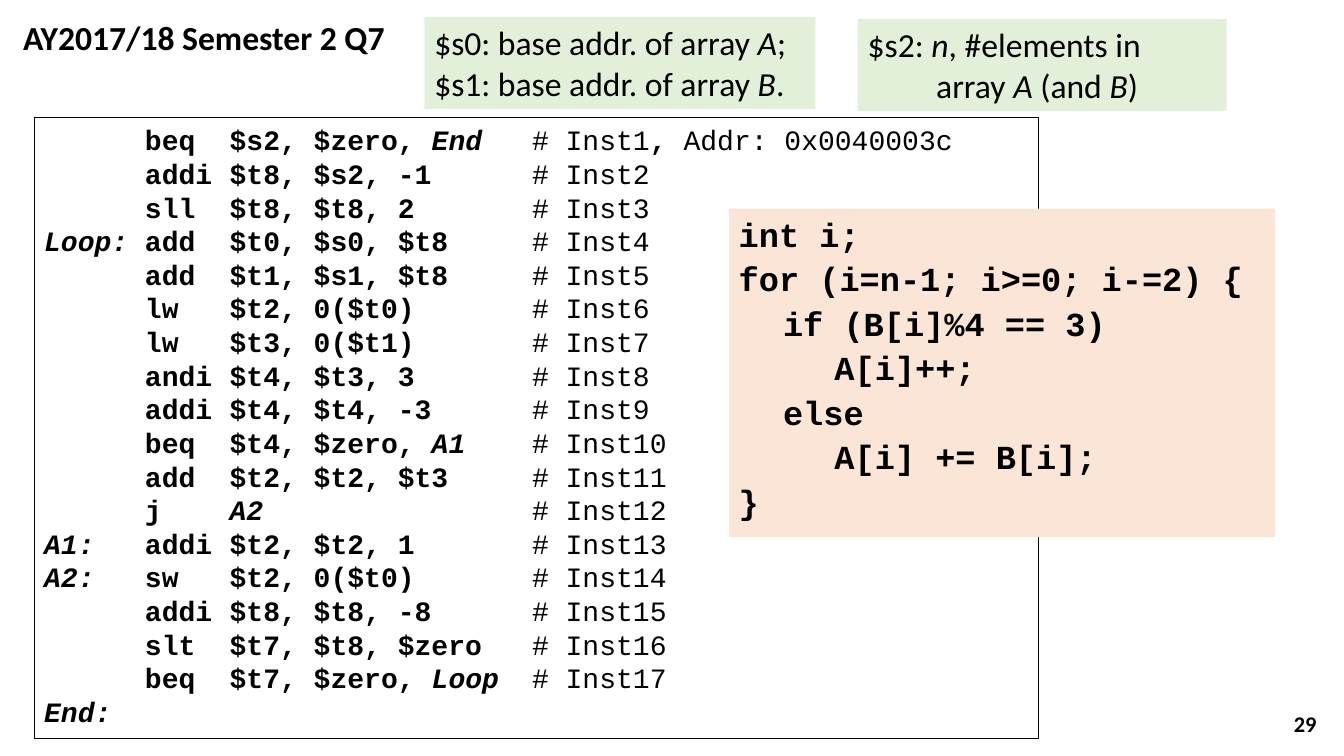
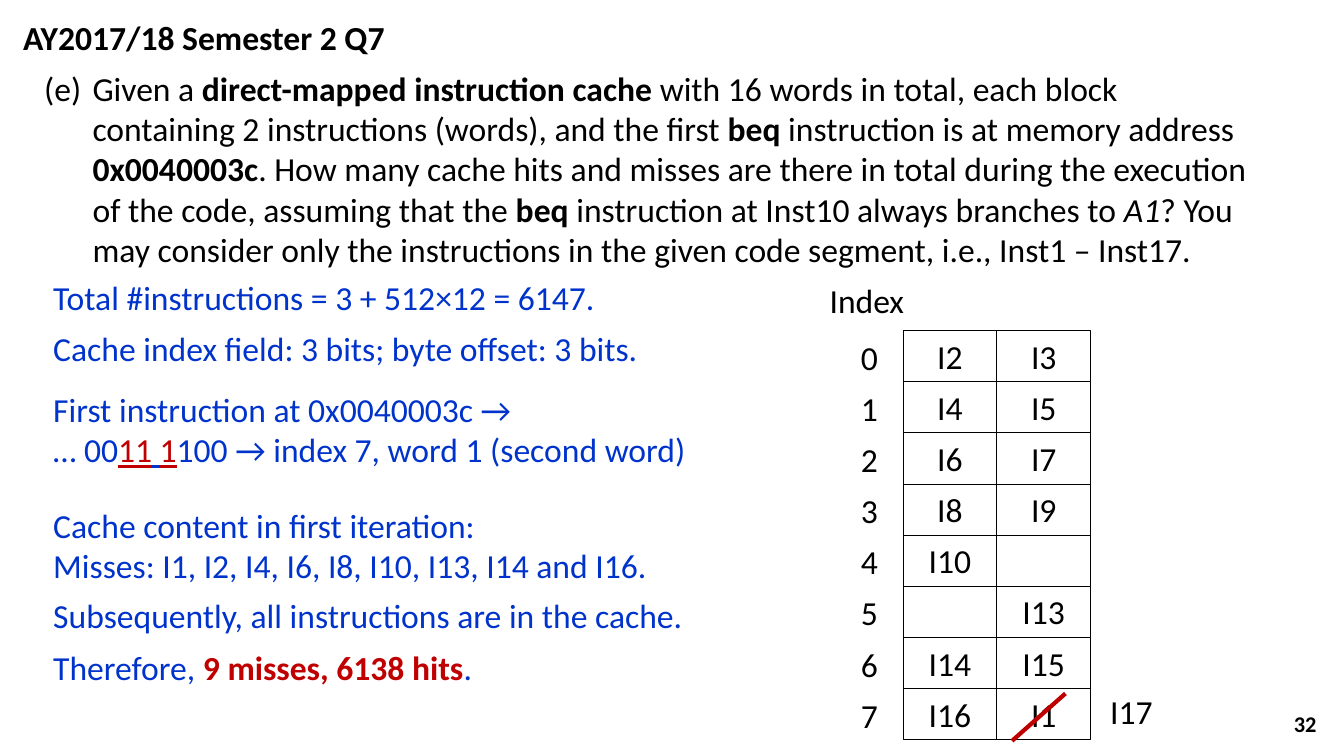
from lxml import etree
from pptx import Presentation
from pptx.dml.color import RGBColor
from pptx.enum import text as t
from pptx.enum import shapes as s
from pptx.oxml.ns import qn
from pptx.util import Inches, Pt

BLACK = RGBColor(0x00, 0x00, 0x00)
BLUE = RGBColor(0x00, 0x33, 0xCC)
RED = RGBColor(0xC0, 0x00, 0x00)
GREEN_PANEL = RGBColor(0xE2, 0xF0, 0xD9)
PEACH_PANEL = RGBColor(0xFB, 0xE5, 0xD6)

BODY_FONT = "Calibri"
CODE_FONT = "Courier New"
TITLE = "AY2017/18 Semester 2 Q7"

# Label, operation, operands, branch target
INSTRUCTIONS = [
    ("", "beq", "$s2, $zero, ", "End"),
    ("", "addi", "$t8, $s2, -1", ""),
    ("", "sll", "$t8, $t8, 2", ""),
    ("Loop:", "add", "$t0, $s0, $t8", ""),
    ("", "add", "$t1, $s1, $t8", ""),
    ("", "lw", "$t2, 0($t0)", ""),
    ("", "lw", "$t3, 0($t1)", ""),
    ("", "andi", "$t4, $t3, 3", ""),
    ("", "addi", "$t4, $t4, -3", ""),
    ("", "beq", "$t4, $zero, ", "A1"),
    ("", "add", "$t2, $t2, $t3", ""),
    ("", "j", "", "A2"),
    ("A1:", "addi", "$t2, $t2, 1", ""),
    ("A2:", "sw", "$t2, 0($t0)", ""),
    ("", "addi", "$t8, $t8, -8", ""),
    ("", "slt", "$t7, $t8, $zero", ""),
    ("", "beq", "$t7, $zero, ", "Loop"),
]
LISTING_TABS = (1, 1.84, 4.84)

C_CODE = [
    "int i;",
    "for (i=n-1; i>=0; i-=2) {",
    "\tif (B[i]%4 == 3)",
    "\t\tA[i]++;",
    "\telse",
    "\t\tA[i] += B[i];",
    "}",
]
C_TABS = (0.44, 0.95)

QUESTION = [
    ("(e)\tGiven a ",), ("direct-mapped instruction cache ", "b"),
    ("with 16 words in total, each block containing 2 instructions (words), and the first ",),
    ("beq", "b"), (" instruction is at memory address ",), ("0x0040003c", "b"),
    (". How many cache hits and misses are there in total during the execution "
     "of the code, assuming that the ",),
    ("beq", "b"), (" instruction at Inst10 always branches to ",), ("A1", "i"),
    ("? You may consider only the instructions in the given code segment, "
     "i.e., Inst1 – Inst17.",),
]

# Top, width, paragraphs
ANSWERS = [
    (2.7, 6.24, [[("Total #instructions = 3 + 512×12 = 6147.",)]]),
    (3.2, 6.24, [[("Cache index field: 3 bits; byte offset: 3 bits.",)]]),
    (3.81, 7.2, [
        [("First instruction at 0x0040003c →",)],
        [("… 00",), ("11", "u", RED), (" ", "u"), ("1", "u", RED),
         ("100 → index 7, word 1 (second word)",)],
    ]),
    (4.96, 7.2, [
        [("Cache content in first iteration:",)],
        [("Misses: I1, I2, I4, I6, I8, I10, I13, I14 and I16.",)],
    ]),
    (5.85, 7.2, [[("Subsequently, all instructions are in the cache.",)]]),
    (6.37, 7.2, [[("Therefore, ",), ("9 misses, 6138 hits", "b", RED), (".",)]]),
]

CACHE_BLOCKS = [
    ("I2", "I3"), ("I4", "I5"), ("I6", "I7"), ("I8", "I9"),
    ("I10", ""), ("", "I13"), ("I14", "I15"), ("I16", "I1"),
]
CACHE_LEFT, CACHE_TOP, CACHE_BOTTOM = 8.96, 3.28, 7.34
WORD_WIDTH = 0.93


def add_runs(para, runs, size=24, font=BODY_FONT, color=BLACK):
    """Each run is (text, flags, colour); flags are letters out of b, i and u."""
    for words, *style in runs:
        run = para.add_run()
        run.text = words
        flags = style[0] if style else ""
        run.font.name = font
        run.font.size = Pt(size)
        run.font.bold = "b" in flags
        run.font.italic = "i" in flags
        run.font.underline = "u" in flags
        run.font.color.rgb = style[1] if len(style) > 1 else color


def set_layout(para, tabs=(), hanging=0):
    props = para._p.get_or_add_pPr()
    if hanging:
        props.set("marL", str(Inches(hanging)))
        props.set("indent", str(-Inches(hanging)))
    if tabs:
        stops = etree.SubElement(props, qn("a:tabLst"))
        for stop in tabs:
            etree.SubElement(stops, qn("a:tab"), pos=str(Inches(stop)), algn="l")


def add_text(slide, place, paragraphs, fill=None, outlined=False, align=None,
             after=None, tabs=(), hanging=0, **font):
    """Adds a text box, or a rectangle where it has a fill or an outline."""
    place = map(Inches, place)
    if fill is not None or outlined:
        box = slide.shapes.add_shape(s.MSO_SHAPE.RECTANGLE, *place)
        box.shadow.inherit = False
        box.fill.background()
        box.line.fill.background()
    else:
        box = slide.shapes.add_textbox(*place)
    if fill is not None:
        box.fill.solid()
        box.fill.fore_color.rgb = fill
    if outlined:
        box.line.color.rgb = BLACK
        box.line.width = Pt(0.75)
    frame = box.text_frame
    frame.word_wrap = True
    frame.vertical_anchor = t.MSO_ANCHOR.TOP
    for number, runs in enumerate(paragraphs):
        para = frame.add_paragraph() if number else frame.paragraphs[0]
        para.alignment = align or t.PP_ALIGN.LEFT
        if after is not None:
            para.space_after = Pt(after)
        set_layout(para, tabs, hanging)
        add_runs(para, runs, **font)
    return box


def add_centred(slide, place, words, outlined=False):
    add_text(slide, place, [[(words,)] if words else []], outlined=outlined,
             align=t.PP_ALIGN.CENTER)


def add_question_slide(prs, number):
    """Adds a slide with the shared title and its page number."""
    slide = prs.slides.add_slide(prs.slide_layouts[6])
    page = add_text(slide, (10.16, 6.98, 3, 0.4), [[(str(number), "b")]],
                    align=t.PP_ALIGN.RIGHT, size=16)
    page.text_frame.vertical_anchor = t.MSO_ANCHOR.MIDDLE
    add_text(slide, (0.13, 0.12, 4.08, 0.5), [[(TITLE, "b")]])
    return slide


def listing_lines():
    lines = []
    for number, (label, operation, operands, target) in enumerate(INSTRUCTIONS, 1):
        runs = [(label, "bi"), (f"\t{operation}\t{operands}", "b"),
                (target, "bi"), (f"\t# Inst{number}",)]
        lines.append([run for run in runs if run[0]])
    lines[0] += [(", ", "b"), ("Addr: 0x0040003c",)]
    return lines + [[("End:", "bi")]]


def add_cache(slide):
    add_centred(slide, (8, 2.73, 1.2, 0.5), "Index")
    pitch = (CACHE_BOTTOM - CACHE_TOP) / len(CACHE_BLOCKS)
    for index, block in enumerate(CACHE_BLOCKS):
        top = CACHE_TOP + index * pitch
        add_centred(slide, (8.28, top + 0.01, 0.69, 0.5), str(index))
        for column, word in enumerate(block):
            left = CACHE_LEFT + column * WORD_WIDTH
            add_centred(slide, (left, top, WORD_WIDTH, pitch), word, outlined=True)


def add_strike(slide, start, end):
    strike = slide.shapes.add_connector(
        s.MSO_CONNECTOR.STRAIGHT, *map(Inches, (*start, *end)))
    strike.line.color.rgb = RED
    strike.line.width = Pt(3)
    etree.SubElement(strike._element.spPr, qn("a:effectLst"))


def build_code_slide(prs):
    slide = add_question_slide(prs, 29)
    add_text(slide, (0.34, 1.17, 9.96, 6.16), listing_lines(), outlined=True,
             tabs=LISTING_TABS, size=20, font=CODE_FONT)
    add_text(slide, (7.23, 2.07, 5.42, 3.26), [[(line, "b")] for line in C_CODE],
             fill=PEACH_PANEL, after=3, tabs=C_TABS, font=CODE_FONT)
    bases = [[(f"{register}: base addr. of array ",), (array, "i"), (end,)]
             for register, array, end in (("$s0", "A", ";"), ("$s1", "B", "."))]
    add_text(slide, (4.21, 0.17, 3.88, 0.91), bases, fill=GREEN_PANEL)
    count = [("$s2: ",), ("n", "i"), (", #elements in array ",), ("A", "i"),
             (" (and ",), ("B", "i"), (")",)]
    add_text(slide, (8.51, 0.19, 3.66, 0.91), [count], fill=GREEN_PANEL, hanging=0.68)


def build_cache_slide(prs):
    slide = add_question_slide(prs, 32)
    add_text(slide, (0.34, 0.62, 12.16, 2.12), [QUESTION], after=6, hanging=0.48)
    for top, width, paragraphs in ANSWERS:
        height = 0.5 if len(paragraphs) == 1 else 0.91
        add_text(slide, (0.43, top, width, height), paragraphs, color=BLUE)
    add_cache(slide)
    add_centred(slide, (10.69, 6.81, 1.07, 0.5), "I17")
    add_strike(slide, (10.04, 7.35), (10.57, 6.88))


def main():
    prs = Presentation()
    prs.slide_width, prs.slide_height = Inches(40 / 3), Inches(7.5)
    build_code_slide(prs)
    build_cache_slide(prs)
    prs.save("out.pptx")


if __name__ == "__main__":
    main()
